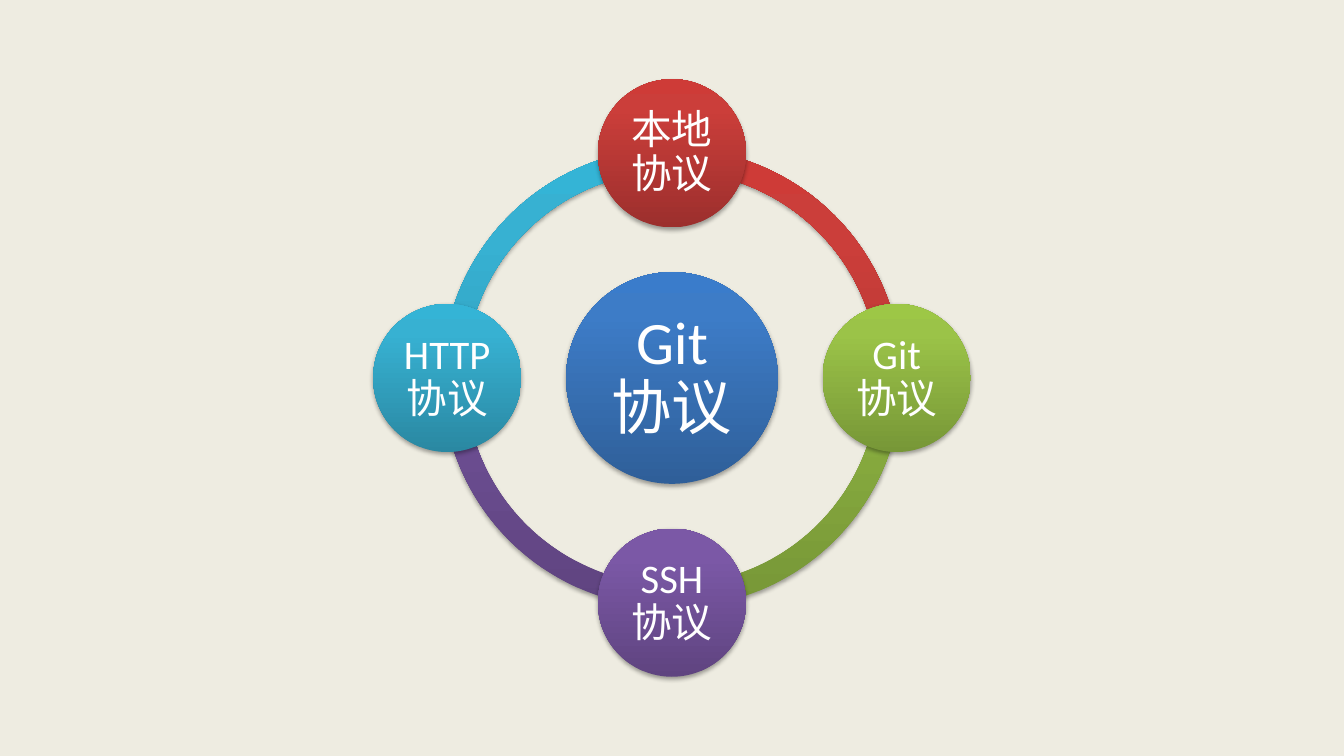
from copy import deepcopy
from dataclasses import dataclass
from math import cos, pi, sin

from lxml.etree import SubElement
from pptx import Presentation
from pptx.dml.color import RGBColor
from pptx.enum.shapes import MSO_SHAPE
from pptx.enum.text import MSO_ANCHOR, PP_ALIGN
from pptx.oxml.ns import qn
from pptx.shapes.autoshape import Shape
from pptx.shapes.shapetree import GroupShapes
from pptx.util import Inches, Pt

WIDE, HIGH = Inches(13.33), Inches(7.5)

# Each ramp runs from the dark base to the light top
COLORS = {
    "page": "EEECE1",
    "text": "FFFFFF",
    "blue": "2F5F99 3D7CC7 3A7CCB",
    "red": "9C2F2D CB3E3A CE3B37",
    "green": "779737 9BC348 9DC746",
    "purple": "5F4480 7B58A6 7C57A8",
    "cyan": "2A88A2 37B1D2 34B4D6",
}
STOPS = (0, 0.8, 1)

# Sizes in percent of the slide's height
RING, ORBIT = 60.8, 29.72
INNER = cos(pi / 4)  # side of the square inside a circle
QUARTER = 54  # a quarter turn in block arc units
BAND = 0.05  # arc width as a share of the ring


@dataclass
class Disc:
    label: str
    color: str
    turn: int  # quarter turns clockwise from the right
    size: float = 19.6
    font: int = 29
    inset: float = 0.04
    reach: float = ORBIT


HUB = Disc("Git 协议", "blue", 0, 28, 43, 0.06, 0)
NODES = [
    Disc("本地协议", "red", 3),
    Disc("Git 协议", "green", 0),
    Disc("SSH 协议", "purple", 1),
    Disc("HTTP 协议", "cyan", 2),
]


def place(size: float, turn: int = 0, reach: float = 0) -> tuple[int, int, int, int]:
    """Box of a square set at a distance from the slide's centre."""
    unit, angle = HIGH / 100, turn * pi / 2
    left = WIDE / 2 + (reach * cos(angle) - size / 2) * unit
    top = HIGH / 2 + (reach * sin(angle) - size / 2) * unit
    return round(left), round(top), round(size * unit), round(size * unit)


def paint(shape: Shape, color: str) -> None:
    """Give a shape its three-stop gradient and soft shadow."""
    fill = shape.fill
    fill.gradient()
    fill.gradient_angle = 90
    ramp = shape.element.spPr.find(".//" + qn("a:gsLst"))
    ramp.append(deepcopy(ramp[0]))
    for stop, spot, tone in zip(fill.gradient_stops, STOPS, COLORS[color].split()):
        stop.position = spot
        stop.color.rgb = RGBColor.from_string(tone)
    shape.line.fill.background()

    shape.shadow.inherit = False
    effects = shape.element.spPr.find(qn("a:effectLst"))
    shade = SubElement(effects, qn("a:outerShdw"), blurRad="40000",
                       dist="23000", dir="5400000", rotWithShape="0")
    black = SubElement(shade, qn("a:srgbClr"), val="000000")
    SubElement(black, qn("a:alpha"), val="35000")


def add_arc(shapes: GroupShapes, node: Disc) -> None:
    arc = shapes.add_shape(MSO_SHAPE.BLOCK_ARC, *place(RING))
    ends = (node.turn * QUARTER, (node.turn + 1) % 4 * QUARTER, BAND)
    for index, value in enumerate(ends):
        arc.adjustments[index] = value
    paint(arc, node.color)


def add_disc(shapes: GroupShapes, disc: Disc) -> None:
    oval = shapes.add_shape(MSO_SHAPE.OVAL, *place(disc.size, disc.turn, disc.reach))
    paint(oval, disc.color)

    box = shapes.add_textbox(*place(disc.size * INNER, disc.turn, disc.reach))
    frame = box.text_frame
    frame.word_wrap = True
    frame.vertical_anchor = MSO_ANCHOR.MIDDLE
    frame.margin_left = frame.margin_right = Inches(disc.inset)
    frame.margin_top = frame.margin_bottom = Inches(disc.inset)
    line = frame.paragraphs[0]
    line.alignment = PP_ALIGN.CENTER
    line.line_spacing = 0.9
    run = line.add_run()
    run.text = disc.label
    run.font.name = "Calibri"
    run.font.size = Pt(disc.font)
    run.font.color.rgb = RGBColor.from_string(COLORS["text"])


def main() -> None:
    deck = Presentation()
    deck.slide_width, deck.slide_height = WIDE, HIGH
    slide = deck.slides.add_slide(deck.slide_layouts[6])
    page = slide.background.fill
    page.solid()
    page.fore_color.rgb = RGBColor.from_string(COLORS["page"])

    # Ring of arcs behind, then the hub and its nodes
    shapes = slide.shapes.add_group_shape().shapes
    for node in reversed(NODES):
        add_arc(shapes, node)
    for disc in [HUB, *NODES]:
        add_disc(shapes, disc)

    deck.save("out.pptx")


if __name__ == "__main__":
    main()
